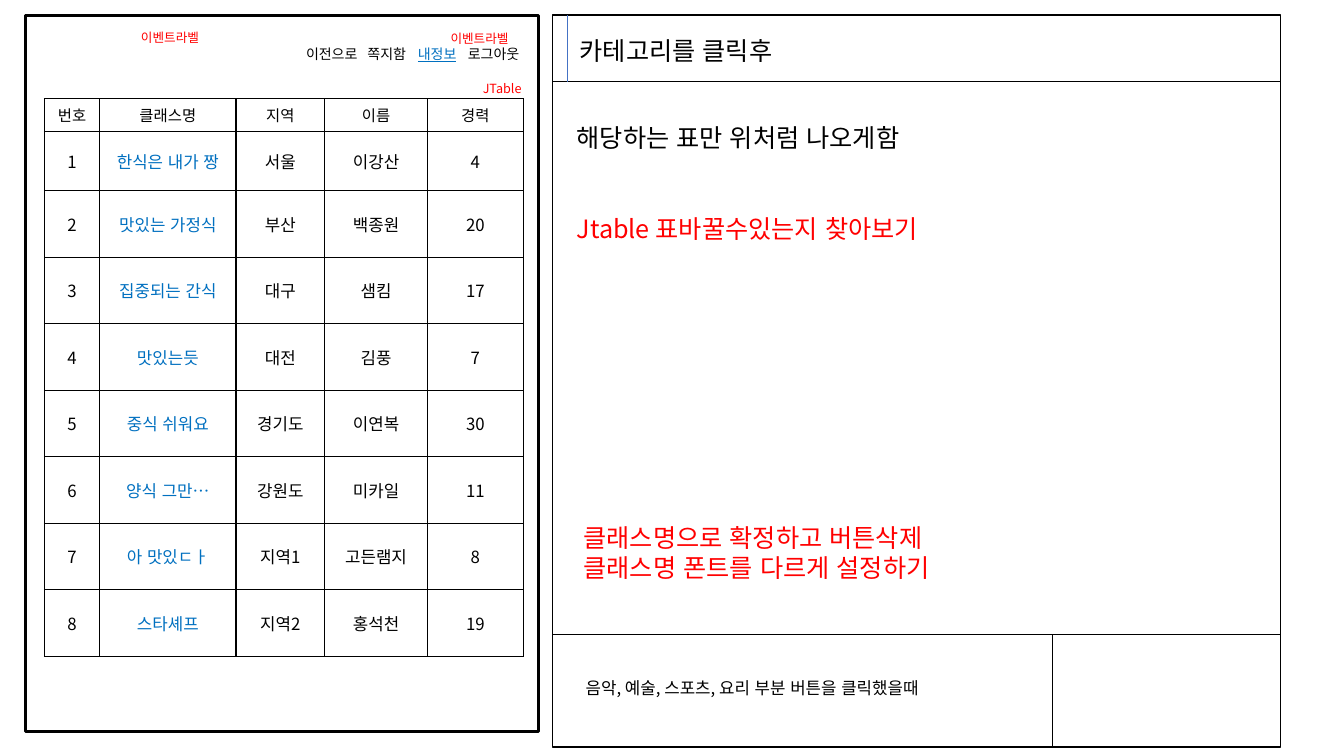
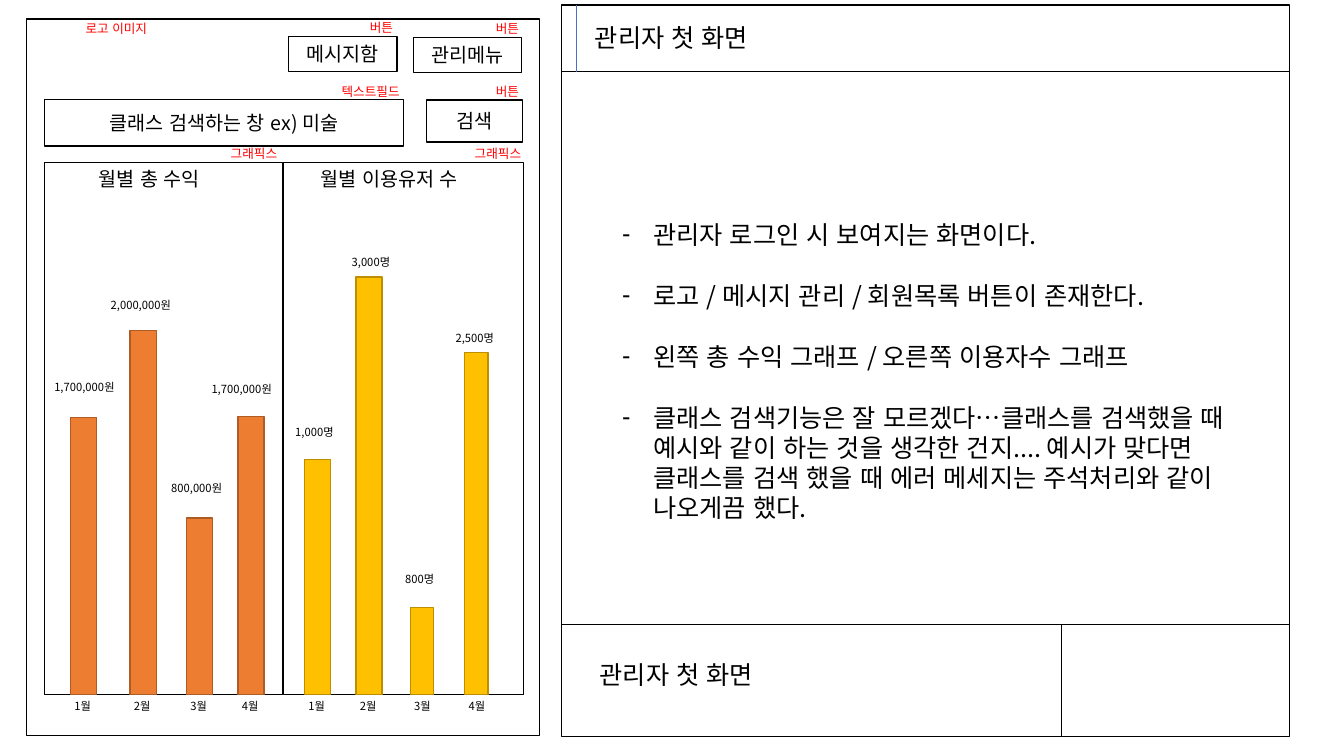
from lxml.etree import SubElement
from pptx import Presentation
from pptx.dml.color import RGBColor
from pptx.enum.lang import MSO_LANGUAGE_ID
from pptx.enum.shapes import MSO_CONNECTOR, MSO_SHAPE
from pptx.enum.text import MSO_ANCHOR, MSO_AUTO_SIZE, PP_ALIGN
from pptx.oxml.ns import qn
from pptx.util import Emu, Pt

SCALE = 9144  # EMU in one px, 100 px to the inch
FONT = "Noto Sans CJK KR"
COLORS = {
    "black": "000000", "white": "FFFFFF", "note": "FF0000", "link": "0070C0",
    "accent": "4472C4", "income": "ED7D31", "income_edge": "AF5C24",
    "users": "FFC000", "users_edge": "BD8E00",
}


def px(value):
    return Emu(value * SCALE)


def color(name):
    return RGBColor.from_string(COLORS[name])


class Wireframe:
    """Style of the deck and the slide being drawn."""

    def __init__(self):
        self.presentation = Presentation()
        self.presentation.slide_width = px(1333)
        self.presentation.slide_height = px(750)
        self.slide = None

    def new_slide(self):
        layout = self.presentation.slide_layouts[1]
        self.slide = self.presentation.slides.add_slide(layout)

    # Text
    def style(self, paragraph, size, ink="black", underline=None):
        for run in paragraph.runs:
            font = run.font
            font.size = Pt(size)
            font.name = FONT
            font.underline = underline
            font.color.rgb = color(ink)
            font.language_id = MSO_LANGUAGE_ID.KOREAN
            SubElement(font._element, qn("a:ea"), typeface=FONT)

    def fill_text(self, shape, text, size, ink="black", align=PP_ALIGN.LEFT,
                  anchor=MSO_ANCHOR.TOP, underline=None):
        frame = shape.text_frame
        frame.text = text
        frame.word_wrap = True
        frame.auto_size = MSO_AUTO_SIZE.NONE
        frame.vertical_anchor = anchor
        for paragraph in frame.paragraphs:
            paragraph.alignment = align
            self.style(paragraph, size, ink, underline)

    def text(self, box, text, size, ink="black", **options):
        shape = self.slide.shapes.add_textbox(*map(px, box))
        self.fill_text(shape, text, size, ink, **options)

    def note(self, left, top, text):
        self.text((left, top, 107, 25), text, 9, "note")

    def place(self, shape, box):
        shape.left, shape.top, shape.width, shape.height = map(px, box)

    def title(self, box, text):
        shape = self.slide.shapes.title
        self.place(shape, box)
        self.fill_text(shape, text, 18)

    def body(self, box, lines, gap, inks=None, bullet=None,
             anchor=MSO_ANCHOR.TOP):
        shape = self.slide.placeholders[1]
        self.place(shape, box)
        self.fill_text(shape, "\n".join(lines), 18, anchor=anchor)
        for index, paragraph in enumerate(shape.text_frame.paragraphs):
            properties = paragraph._p.get_or_add_pPr()
            properties.set("marL", str(px(81 if bullet else 0)))
            properties.set("indent", str(px(-31 if bullet else 0)))
            if bullet:
                SubElement(properties, qn("a:buChar"), char=bullet)
            else:
                SubElement(properties, qn("a:buNone"))
            paragraph.space_before = Pt(gap if index else 0)
            if inks:
                for run in paragraph.runs:
                    run.font.color.rgb = color(inks[index])

    # Shapes and lines
    def box(self, box, fill="white", edge="black", weight=1):
        shape = self.slide.shapes.add_shape(MSO_SHAPE.RECTANGLE, *map(px, box))
        shape.shadow.inherit = False
        if fill:
            shape.fill.solid()
            shape.fill.fore_color.rgb = color(fill)
        else:
            shape.fill.background()
        shape.line.color.rgb = color(edge)
        shape.line.width = Pt(weight)
        return shape

    def button(self, box, text):
        self.fill_text(self.box(box), text, 14, align=PP_ALIGN.CENTER,
                       anchor=MSO_ANCHOR.MIDDLE)

    def line(self, left, top, right, bottom, ink="black"):
        connector = self.slide.shapes.add_connector(
            MSO_CONNECTOR.STRAIGHT, px(left), px(top), px(right), px(bottom))
        connector.line.color.rgb = color(ink)
        connector.line.width = Pt(0.5)
        SubElement(connector._element.spPr, qn("a:effectLst"))

    def description_panel(self, left, top):
        """Framed panel with a title band and a two-part footer."""
        right, bottom = left + 722, top + 726
        header, footer = top + 66, top + 614
        self.box((left, top, 722, 726), fill=None)
        self.line(left, header, right, header)
        self.line(left + 15, top, left + 15, header, "accent")
        self.line(left, footer, right, footer)
        self.line(left + 496, footer, left + 496, bottom)

    # Table
    def table(self, left, top, columns, heights, rows, link_column):
        table = self.slide.shapes.add_table(
            len(rows), len(columns), px(left), px(top),
            px(sum(columns)), px(sum(heights))).table
        table.first_row = table.horz_banding = False
        for column, width in zip(table.columns, columns):
            column.width = px(width)
        for row_index, (values, height) in enumerate(zip(rows, heights)):
            table.rows[row_index].height = px(height)
            for column_index, value in enumerate(values):
                linked = row_index > 0 and column_index == link_column
                self.cell(table.cell(row_index, column_index), value,
                          12 if row_index else 11,
                          "link" if linked else "black")

    def cell(self, cell, value, size, ink):
        properties = cell._tc.get_or_add_tcPr()
        for side in ("lnL", "lnR", "lnT", "lnB"):
            border = SubElement(properties, qn("a:" + side), w=str(Pt(1)))
            fill = SubElement(border, qn("a:solidFill"))
            SubElement(fill, qn("a:srgbClr"), val=COLORS["black"])
        cell.fill.solid()
        cell.fill.fore_color.rgb = color("white")
        cell.vertical_anchor = MSO_ANCHOR.MIDDLE
        paragraph = cell.text_frame.paragraphs[0]
        paragraph.text = value
        paragraph.alignment = PP_ALIGN.CENTER
        self.style(paragraph, size, ink)

    # Sketched bar graph, standing on a common base line
    def bar_graph(self, panel, title, title_left, fill, bars):
        self.box(panel)
        base = panel[1] + panel[3]
        self.text((title_left, panel[1], 200, 63), title, 14)
        for month, (left, top, width, label, label_left, label_top) in enumerate(bars, 1):
            self.box((left, top, width, base - top), fill, fill + "_edge")
            self.text((label_left, label_top, 106, 44), label, 8)
            self.text((left - 6, base, 85, 24), f"{month}월", 8)


def class_list_slide(deck):
    deck.new_slide()
    # Description panel
    deck.description_panel(548, 15)
    deck.title((565, 30, 371, 42), "카테고리를 클릭후")
    deck.body((562, 116, 678, 131),
              ["해당하는 표만 위처럼 나오게함", "Jtable 표바꿀수있는지 찾아보기"],
              gap=44, inks=["black", "note"])
    deck.text((569, 513, 593, 71),
              "클래스명으로 확정하고 버튼삭제\n클래스명 폰트를 다르게 설정하기",
              18, "note")
    deck.text((571, 667, 437, 32),
              "음악, 예술, 스포츠, 요리 부분 버튼을 클릭했을때", 12)

    # App screen with its menu
    deck.box((25, 15, 509, 711), fill=None, weight=2.25)
    for left, width, text in [(289, 80, "이전으로"), (348, 71, "쪽지함"),
                              (398, 71, "내정보"), (448, 83, "로그아웃")]:
        current = text == "내정보"
        deck.text((left, 34, width, 39), text, 10,
                  "link" if current else "black", align=PP_ALIGN.CENTER,
                  anchor=MSO_ANCHOR.MIDDLE, underline=current)
    for left, top, text in [(130, 25, "이벤트라벨"), (437, 26, "이벤트라벨"),
                            (469, 75, "JTable")]:
        deck.note(left, top, text)

    # Class table
    deck.table(44, 98, [55, 135, 88, 102, 95], [32, 59] + [66] * 7, [
        ("번호", "클래스명", "지역", "이름", "경력"),
        ("1", "한식은 내가 짱", "서울", "이강산", "4"),
        ("2", "맛있는 가정식", "부산", "백종원", "20"),
        ("3", "집중되는 간식", "대구", "샘킴", "17"),
        ("4", "맛있는듯", "대전", "김풍", "7"),
        ("5", "중식 쉬워요", "경기도", "이연복", "30"),
        ("6", "양식 그만…", "강원도", "미카일", "11"),
        ("7", "아 맛있ㄷㅏ", "지역1", "고든램지", "8"),
        ("8", "스타셰프", "지역2", "홍석천", "19"),
    ], link_column=1)


def admin_slide(deck):
    deck.new_slide()
    # Description panel
    deck.description_panel(557, 5)
    deck.title((580, 17, 242, 40), "관리자 첫 화면")
    deck.body((557, 5, 722, 726), [
        "관리자 로그인 시 보여지는 화면이다.",
        "로고 / 메시지 관리 / 회원목록 버튼이 존재한다.",
        "왼쪽 총 수익 그래프 / 오른쪽 이용자수 그래프",
        "클래스 검색기능은 잘 모르겠다…클래스를 검색했을 때 예시와 같이 "
        "하는 것을 생각한 건지.... 예시가 맞다면 클래스를 검색 했을 때 "
        "에러 메세지는 주석처리와 같이 나오게끔 했다.",
    ], gap=22, bullet="-", anchor=MSO_ANCHOR.MIDDLE)
    deck.text((585, 649, 437, 40), "관리자 첫 화면", 18)

    # App screen with its buttons and search field
    deck.box((26, 19, 509, 711))
    for box, text in [((286, 36, 108, 35), "메시지함"),
                      ((410, 37, 107, 35), "관리메뉴"),
                      ((44, 99, 356, 46), "클래스 검색하는 창 ex) 미술"),
                      ((423, 99, 95, 42), "검색")]:
        deck.button(box, text)

    # Monthly graphs: bar left, top, width; label text, left, top
    deck.bar_graph((44, 161, 236, 528), "월별 총 수익", 88, "income", [
        (70, 414, 26, "1,700,000원", 44, 372),
        (129, 328, 26, "2,000,000원", 100, 291),
        (185, 514, 26, "800,000원", 160, 473),
        (236, 413, 26, "1,700,000원", 200, 374),
    ])
    deck.bar_graph((281, 161, 238, 528), "월별 이용유저 수", 308, "users", [
        (302, 456, 26, "1,000명", 283, 417),
        (353, 275, 26, "3,000명", 339, 248),
        (407, 603, 23, "800명", 392, 563),
        (461, 350, 23, "2,500명", 442, 324),
    ])

    # Red notes naming each part
    for left, top, text in [(75, 16, "로고 이미지"), (357, 15, "버튼"),
                            (482, 16, "버튼"), (329, 78, "텍스트필드"),
                            (482, 78, "버튼"), (219, 140, "그래픽스"),
                            (461, 140, "그래픽스")]:
        deck.note(left, top, text)


def main():
    deck = Wireframe()
    class_list_slide(deck)
    admin_slide(deck)
    deck.presentation.save("out.pptx")


if __name__ == "__main__":
    main()
